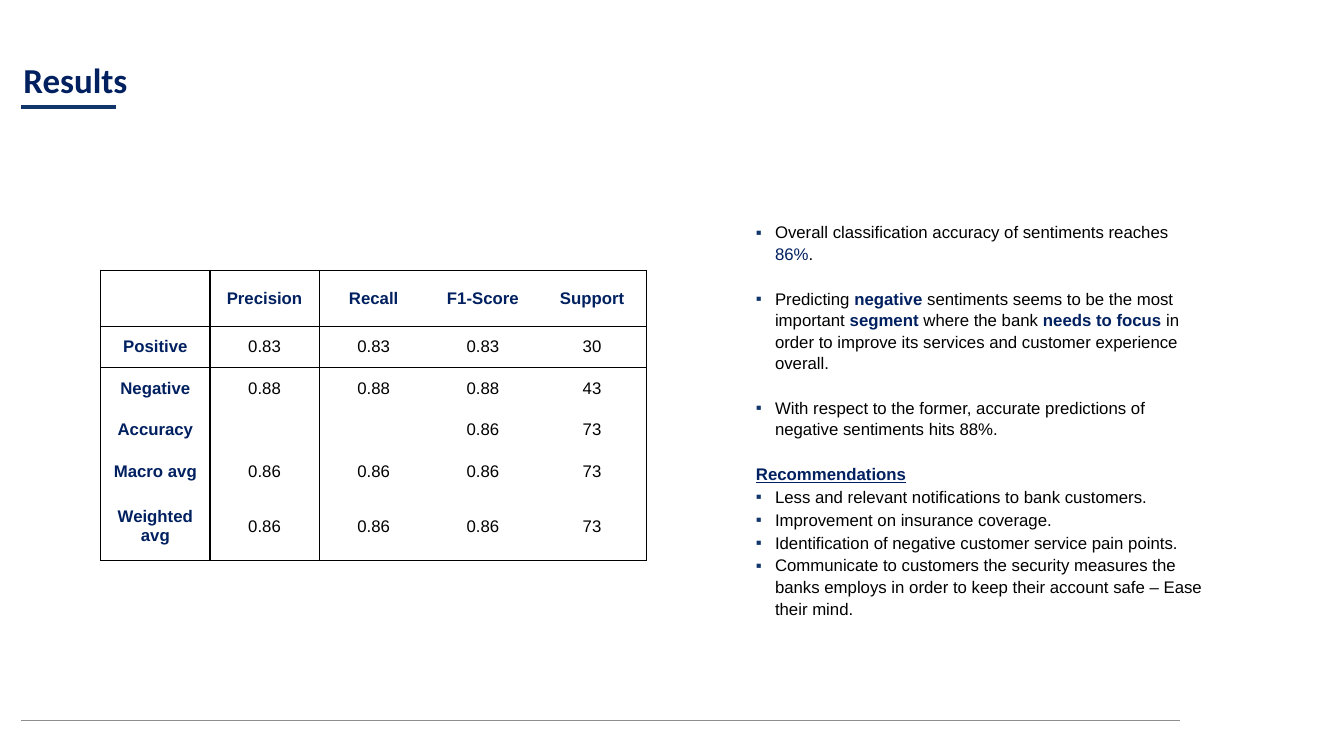
from lxml import etree
from pptx import Presentation
from pptx import util as u
from pptx.dml import color
from pptx.enum import text
from pptx.oxml import ns

NAVY, BLACK, BULLET_BLUE, GREY = "002060", "000000", "11366B", "8E8E8E"

METRICS = [
    ["", "Precision", "Recall", "F1-Score", "Support"],
    ["Positive", "0.83", "0.83", "0.83", "30"],
    ["Negative", "0.88", "0.88", "0.88", "43"],
    ["Accuracy", "", "", "0.86", "73"],
    ["Macro avg", "0.86", "0.86", "0.86", "73"],
    ["Weighted avg", "0.86", "0.86", "0.86", "73"],
]
COLUMN_WIDTHS = [78] * 5
ROW_HEIGHTS = [40, 29.6, 29.6, 29.6, 29.6, 49]
RULED_COLUMNS, RULED_ROWS = {0, 1, 2, 5}, {0, 1, 2, 6}

# Each paragraph: space before, bulleted, runs of (text, colour, bold)
TIGHT, LOOSE = 1, 16.4
FINDINGS = [
    (TIGHT, True, [("Overall classification accuracy of sentiments reaches ", BLACK, False),
                   ("86%", NAVY, False), (".", BLACK, False)]),
    (LOOSE, True, [("Predicting ", BLACK, False), ("negative", NAVY, True),
                   (" sentiments seems to be the most important ", BLACK, False),
                   ("segment", NAVY, True), (" where the bank ", BLACK, False),
                   ("needs to focus ", NAVY, True),
                   ("in order to improve its services and customer experience overall.",
                    BLACK, False)]),
    (LOOSE, True, [("With respect to the former, accurate predictions of negative "
                    "sentiments hits 88%.", BLACK, False)]),
    (LOOSE, False, [("Recommendations", NAVY, True)]),
] + [(TIGHT, True, [(advice, BLACK, False)]) for advice in (
    "Less and relevant notifications to bank customers.",
    "Improvement on insurance coverage.",
    "Identification of negative customer service pain points.",
    "Communicate to customers the security measures the banks employs in order "
    "to keep their account safe – Ease their mind.",
)]


def rgb(value):
    return color.RGBColor.from_string(value)


def add_xml(parent, tag, **attributes):
    return etree.SubElement(parent, ns.qn(tag), attributes)


class SlideBuilder:
    """Holds the text style and the slide being built."""

    def __init__(self, slide, font="Arial", size=12):
        self.slide, self.font, self.size = slide, font, size

    def style(self, font, colour=None, bold=None, name=None, size=None):
        font.name, font.size = name or self.font, u.Pt(size or self.size)
        font.bold = bold
        if colour:
            font.color.rgb = rgb(colour)

    def place(self, shape, left, top, width, height, inset_top, inset_right=0):
        shape.left, shape.top = u.Pt(left), u.Pt(top)
        shape.width, shape.height = u.Pt(width), u.Pt(height)
        frame = shape.text_frame
        frame.margin_left = frame.margin_bottom = 0
        frame.margin_top, frame.margin_right = u.Pt(inset_top), u.Pt(inset_right)
        frame.word_wrap = True
        frame.auto_size = text.MSO_AUTO_SIZE.NONE
        frame.vertical_anchor = text.MSO_ANCHOR.TOP
        return frame

    def indent(self, paragraph, left, hanging=0, bullet=None):
        properties = paragraph._p.get_or_add_pPr()
        properties.set("marL", str(u.Pt(left)))
        properties.set("indent", str(-u.Pt(hanging)))
        if bullet:
            add_xml(add_xml(properties, "a:buClr"), "a:srgbClr", val=BULLET_BLUE)
            add_xml(properties, "a:buFont", typeface=self.font)
            add_xml(properties, "a:buChar", char=bullet)
        else:
            add_xml(properties, "a:buNone")

    def title(self, words, *box):
        paragraph = self.place(self.slide.shapes.title, *box).paragraphs[0]
        paragraph.text = words
        paragraph.alignment = text.PP_ALIGN.LEFT
        paragraph.space_before = u.Pt(0.9)
        self.indent(paragraph, 3)
        self.style(paragraph.font, NAVY, True, "Calibri", 25)

    def body(self, items, *box):
        frame = self.place(self.slide.placeholders[1], *box)
        for number, (space, bulleted, runs) in enumerate(items):
            paragraph = frame.add_paragraph() if number else frame.paragraphs[0]
            paragraph.line_spacing = 1.07
            paragraph.space_before = u.Pt(space)
            if bulleted:
                self.indent(paragraph, 19.4, 13.6, "▪")
            else:
                self.indent(paragraph, 5.8)
            self.style(paragraph.font)
            for words, colour, bold in runs:
                run = paragraph.add_run()
                run.text = words
                run.font.color.rgb = rgb(colour)
                run.font.bold = bold
                run.font.underline = not bulleted

    def rule(self, left, top, width, colour, weight):
        line = self.slide.shapes.add_connector(
            1, u.Pt(left), u.Pt(top), u.Pt(left + width), u.Pt(top))
        line.line.color.rgb = rgb(colour)
        line.line.width = u.Pt(weight)
        add_xml(line._element.spPr, "a:effectLst")

    def cell_borders(self, cell, row, column):
        properties = cell._tc.get_or_add_tcPr()
        edges = {"a:lnL": column in RULED_COLUMNS, "a:lnR": column + 1 in RULED_COLUMNS,
                 "a:lnT": row in RULED_ROWS, "a:lnB": row + 1 in RULED_ROWS}
        for tag, drawn in edges.items():
            border = add_xml(properties, tag, w=str(u.Pt(1)))
            if drawn:
                add_xml(add_xml(border, "a:solidFill"), "a:srgbClr", val=BLACK)
            else:
                add_xml(border, "a:noFill")

    def table(self, rows, left, top):
        table = self.slide.shapes.add_table(
            len(rows), len(rows[0]), u.Pt(left), u.Pt(top),
            u.Pt(sum(COLUMN_WIDTHS)), u.Pt(sum(ROW_HEIGHTS))).table
        table.first_row = table.horz_banding = False
        for column, width in zip(table.columns, COLUMN_WIDTHS):
            column.width = u.Pt(width)
        for row, height in zip(table.rows, ROW_HEIGHTS):
            row.height = u.Pt(height)
        for r, values in enumerate(rows):
            for c, value in enumerate(values):
                cell = table.cell(r, c)
                cell.text = value
                cell.vertical_anchor = text.MSO_ANCHOR.MIDDLE
                self.cell_borders(cell, r, c)
                cell.fill.background()
                paragraph = cell.text_frame.paragraphs[0]
                paragraph.alignment = text.PP_ALIGN.CENTER
                heading = r == 0 or c == 0
                self.style(paragraph.font, NAVY if heading else BLACK, heading)


def main():
    presentation = Presentation()
    presentation.slide_width, presentation.slide_height = u.Pt(960), u.Pt(540)
    builder = SlideBuilder(presentation.slides.add_slide(presentation.slide_layouts[1]))

    # Footer rule and title with its underline
    builder.rule(15, 514.8, 828, GREY, 0.72)
    builder.rule(15, 76.3, 68, BULLET_BLUE, 3)
    builder.title("Results", 13.7, 13, 855, 59, 28.8)

    # Classification metrics
    builder.table(METRICS, 72, 193)

    # Findings and recommendations
    builder.body(FINDINGS, 534.2, 157, 372.2, 272.9, 0.7, 45)

    presentation.save("out.pptx")


if __name__ == "__main__":
    main()
